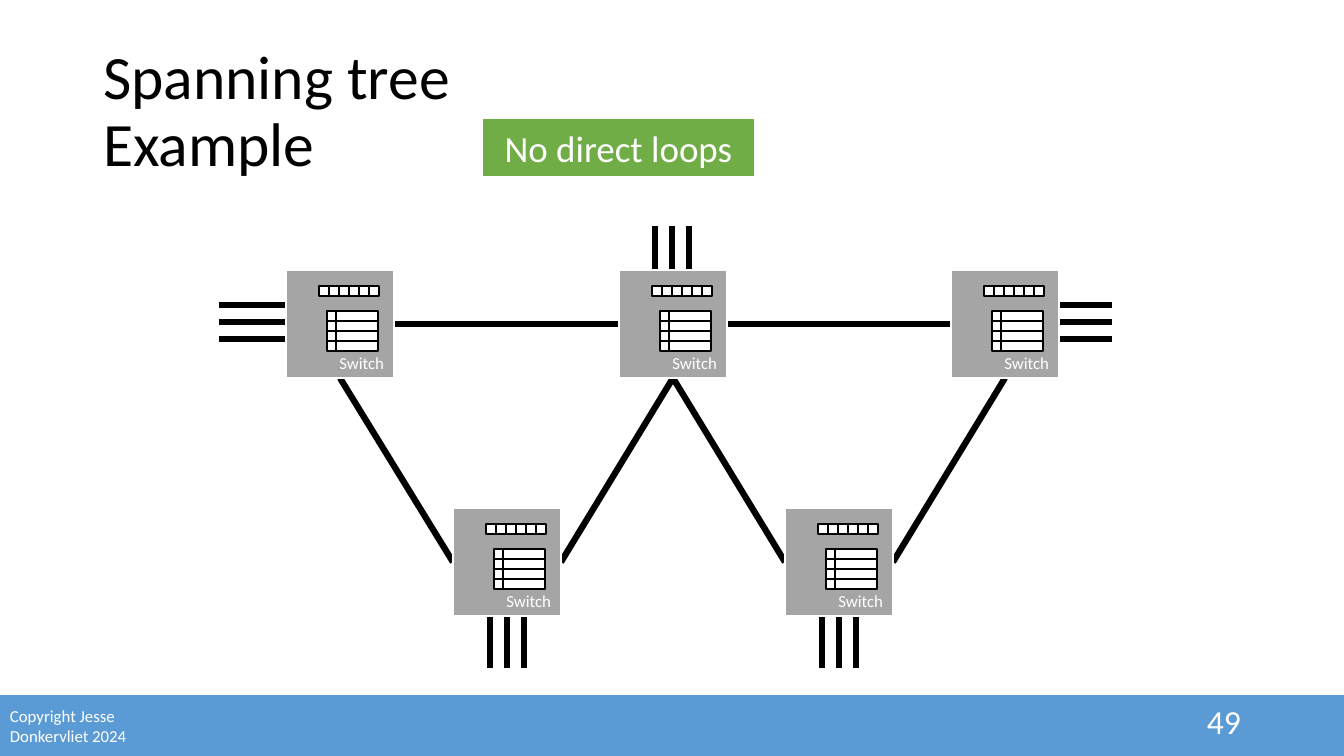
from dataclasses import dataclass
from pptx import Presentation
from pptx import util as u
from pptx.dml.color import RGBColor
from pptx.enum import shapes, text
from pptx.oxml.ns import qn
from lxml import etree

SCALE = 914400 / 100.8
SIDE = 108
HALF = SIDE // 2


@dataclass(frozen=True)
class Theme:
    font: str = "Calibri"
    black: str = "000000"
    white: str = "FFFFFF"
    blue: str = "5B9BD5"
    green: str = "70AD47"
    gray: str = "A5A5A5"
    title: float = 44
    note: float = 26.4
    page: float = 24
    small: float = 12
    wire: float = 4.5
    edge: float = 1.5
    thin: float = 1


T = Theme()


def px(n):
    return u.Emu(round(n * SCALE))


def rgb(code):
    return RGBColor.from_string(code)


def write(shape, words, size, color, align, anchor):
    frame = shape.text_frame
    frame.text = words
    frame.word_wrap = True
    frame.auto_size = text.MSO_AUTO_SIZE.NONE
    frame.vertical_anchor = anchor
    para = frame.paragraphs[0]
    para.alignment = align
    for run in para.runs:
        run.font.name = T.font
        run.font.size = u.Pt(size)
        run.font.color.rgb = rgb(color)


def box(parent, left, top, width, height, fill, line=None, weight=T.edge):
    shape = parent.add_shape(
        shapes.MSO_SHAPE.RECTANGLE, px(left), px(top), px(width), px(height))
    shape.shadow.inherit = False
    shape.fill.solid()
    shape.fill.fore_color.rgb = rgb(fill)
    if line:
        shape.line.color.rgb = rgb(line)
        shape.line.width = u.Pt(weight)
    else:
        shape.line.fill.background()
    return shape


def label(parent, left, top, width, height, words, size, align):
    shape = parent.add_textbox(px(left), px(top), px(width), px(height))
    write(shape, words, size, T.white, align, text.MSO_ANCHOR.MIDDLE)


def wire(parent, start, end):
    line = parent.add_connector(
        shapes.MSO_CONNECTOR.STRAIGHT, *map(px, start + end))
    line.line.color.rgb = rgb(T.black)
    line.line.width = u.Pt(T.wire)
    etree.SubElement(line._element.spPr, qn("a:effectLst"))


def hosts(parent, x, y, across):
    group = parent.add_group_shape().shapes
    for shift in (-17, 0, 17):
        if across:
            wire(group, (x, y + shift), (x + 83, y + shift))
        else:
            wire(group, (x + shift, y), (x + shift, y + 83))


def switch(parent, left, top):
    group = parent.add_group_shape().shapes
    body = box(group, left, top, SIDE, SIDE, T.gray, T.white)
    write(body, "Switch", T.small, T.white,
          text.PP_ALIGN.RIGHT, text.MSO_ANCHOR.BOTTOM)
    for port in range(6):
        box(group, left + 33 + port * 10, top + 16, 10, 10,
            T.white, T.black, T.thin)
    for shift in (57, 66):
        for row in range(4):
            cell = box(group, left + shift, top + 55 - row * 10, 10, 42,
                       T.white, T.black, T.thin)
            cell.rotation = 270


def link(parent, upper, lower):
    x, y = upper
    left, top = lower
    side = 0 if x < left else SIDE
    wire(parent, (x + HALF, y + SIDE), (left + side, top + HALF))


def main():
    deck = Presentation()
    deck.slide_width, deck.slide_height = px(1344), px(756)
    slide = deck.slides.add_slide(deck.slide_layouts[5])
    tree = slide.shapes

    title = tree.title
    title.left, title.top = px(93), px(40)
    title.width, title.height = px(1159), px(146)
    write(title, "Spanning tree\vExample", T.title, T.black,
          text.PP_ALIGN.LEFT, text.MSO_ANCHOR.MIDDLE)
    title.text_frame.paragraphs[0].line_spacing = 0.9

    box(tree, 0, 695, 1344, 61, T.blue)
    label(tree, 0, 701, 148, 50, "Copyright Jesse Donkervliet 2024",
          T.small, text.PP_ALIGN.LEFT)
    label(tree, 949, 701, 302, 40, "49", T.page, text.PP_ALIGN.RIGHT)

    note = box(tree, 482, 118, 273, 59, T.green, T.white)
    write(note, "No direct loops", T.note, T.white,
          text.PP_ALIGN.CENTER, text.MSO_ANCHOR.MIDDLE)

    upper = [(x, 270) for x in (286, 619, 951)]
    lower = [(x, 508) for x in (453, 785)]
    for x, y, across in ((672, 226, False), (1029, 322, True),
                         (839, 585, False), (507, 585, False),
                         (219, 322, True)):
        hosts(tree, x, y, across)
    for (left, y), (right, _) in zip(upper, upper[1:]):
        wire(tree, (left + SIDE, y + HALF), (right, y + HALF))
    for i, base in enumerate(lower):
        link(tree, upper[i], base)
        link(tree, upper[i + 1], base)
    for spot in upper + lower:
        switch(tree, *spot)

    deck.save("out.pptx")


if __name__ == "__main__":
    main()
